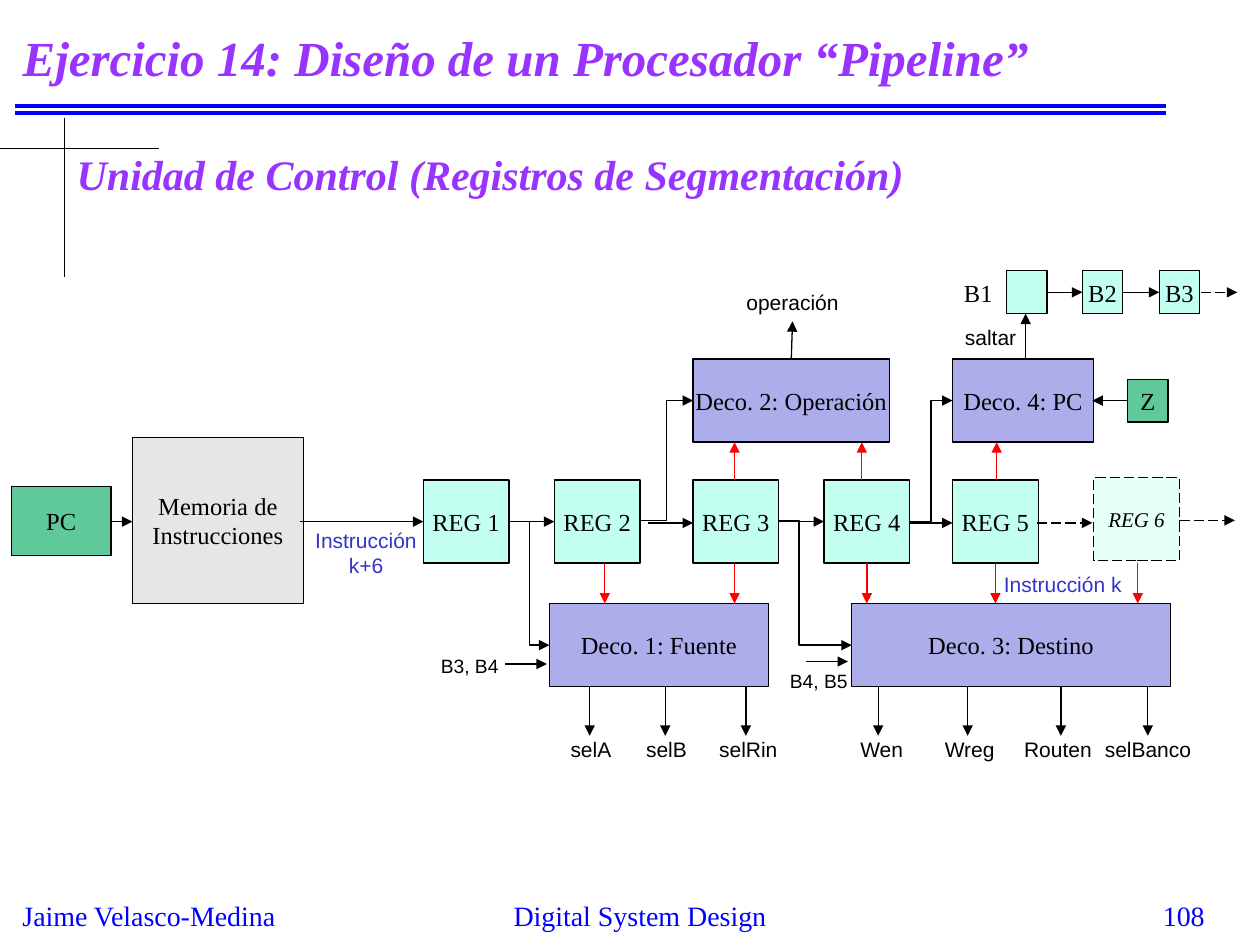
from lxml import etree
from pptx import Presentation
from pptx.dml.color import RGBColor
from pptx.enum.dml import MSO_LINE
from pptx.enum.shapes import MSO_CONNECTOR, MSO_SHAPE
from pptx.enum.text import MSO_ANCHOR, MSO_AUTO_SIZE, PP_ALIGN
from pptx.oxml.ns import qn
from pptx.util import Inches, Pt

LEFT, MID, RIGHT = PP_ALIGN.LEFT, PP_ALIGN.CENTER, PP_ALIGN.RIGHT
TOP, MIDDLE = MSO_ANCHOR.TOP, MSO_ANCHOR.MIDDLE
STRAIGHT, ELBOW = MSO_CONNECTOR.STRAIGHT, MSO_CONNECTOR.ELBOW
RECT = MSO_SHAPE.RECTANGLE
DASH = MSO_LINE.LONG_DASH
NO_FIT = MSO_AUTO_SIZE.NONE

HUES = {
    "black": "000000", "red": "FF0000", "blue": "0000FF", "violet": "9933FF",
    "indigo": "3333CC", "gray": "E6E6E6", "green": "60C99C",
    "mint": "C2FFF0", "pale": "E5FFF9", "lilac": "ADADEB",
}
SERIF, SANS = "Times New Roman", "Arial"
HEAD = {"name": SERIF, "size": Pt(28), "bold": True, "italic": True}
SUB = {**HEAD, "size": Pt(24)}
FOOT = {"name": SERIF, "size": Pt(16)}
BOX = {"name": SERIF, "size": Pt(14)}
GHOST = {"name": SERIF, "size": Pt(12), "italic": True}
LABEL = {"name": SANS, "size": Pt(12)}
NOTE = {"name": SANS, "size": Pt(11)}

REG_W, ROW_H, BIT_W, BIT_H = 0.68, 0.66, 0.32, 0.34
REG_Y, DECO_Y, OP_Y, BIT_Y = 3.81, 4.79, 2.85, 2.15
MID_Y, OUT_Y = 4.14, 5.45


def color(name):
    return RGBColor.from_string(HUES[name])


def write(shape, text, look, hue, align, anchor, wrap):
    frame = shape.text_frame
    frame.text = text
    frame.auto_size = NO_FIT
    frame.word_wrap = wrap
    frame.vertical_anchor = anchor
    for para in frame.paragraphs:
        para.alignment = align
        for key, value in look.items():
            setattr(para.font, key, value)
        para.font.color.rgb = color(hue)


def add_text(slide, spot, text, look=LABEL, hue="black", align=LEFT,
             anchor=TOP, wrap=False):
    shape = slide.shapes.add_textbox(*map(Inches, spot))
    write(shape, text, look, hue, align, anchor, wrap)


def add_box(slide, spot, text, fill, look=BOX, dash=None):
    shape = slide.shapes.add_shape(RECT, *map(Inches, spot))
    shape.shadow.inherit = False
    shape.fill.solid()
    shape.fill.fore_color.rgb = color(fill)
    shape.line.color.rgb = color("black")
    shape.line.width = Pt(0.75)
    shape.line.dash_style = dash
    write(shape, text, look, "black", MID, MIDDLE, False)


def add_line(slide, ends, hue="black", width=0.75, kind=STRAIGHT):
    wire = slide.shapes.add_connector(kind, *map(Inches, ends))
    wire.line.color.rgb = color(hue)
    wire.line.width = Pt(width)
    etree.SubElement(wire._element.spPr, qn("a:effectLst"))
    return wire


def add_arrow(slide, ends, hue="black", dash=None, kind=STRAIGHT, bend=None):
    """Draw a line with a head at its end; bend is the share of width before the turn."""
    wire = add_line(slide, ends, hue, kind=kind)
    wire.line.dash_style = dash
    ln = wire._element.spPr.find(qn("a:ln"))
    etree.SubElement(ln, qn("a:tailEnd"), type="triangle")
    if bend:
        guides = wire._element.spPr.prstGeom.get_or_add_avLst()
        etree.SubElement(guides, qn("a:gd"), name="adj1",
                         fmla=f"val {round(bend * 100000)}")


def add_frame(slide):
    """Draw the rules, headings and footer."""
    for y in (0.84, 0.9):
        add_line(slide, (0.12, y, 9.25, y), "blue", 2.25)
    for ends in ((0, 1.18, 1.26, 1.18), (0.51, 0.94, 0.51, 2.2)):
        add_line(slide, ends)
    title = slide.shapes.title
    title.left, title.top, title.width, title.height = map(
        Inches, (0.08, 0.08, 9.17, 0.75))
    write(title, "Ejercicio 14: Diseño de un Procesador “Pipeline”",
          HEAD, "violet", LEFT, MIDDLE, True)
    add_text(slide, (0.51, 1, 9.17, 0.75),
             "Unidad de Control (Registros de Segmentación)",
             SUB, "violet", anchor=MIDDLE, wrap=True)
    for x, w, text, align in (
            (0.08, 2.25, "Jaime Velasco-Medina", LEFT),
            (3.33, 3.5, "Digital System Design", MID),
            (7.58, 2.08, "108", RIGHT)):
        add_text(slide, (x, 7.08, w, 0.33), text, FOOT, "blue", align)


def add_blocks(slide):
    add_box(slide, (1.05, 3.47, 1.36, 1.32), "Memoria de\nInstrucciones", "gray")
    add_box(slide, (0.09, 3.86, 0.79, 0.55), "PC", "green")
    add_box(slide, (8.95, 3.01, BIT_W, BIT_H), "Z", "green")
    for num, x in enumerate((3.36, 4.4, 5.5, 6.54, 7.56), 1):
        add_box(slide, (x, REG_Y, REG_W, ROW_H), f"REG {num}", "mint")
    add_box(slide, (8.68, 3.79, REG_W, ROW_H), "REG 6", "pale", GHOST, DASH)
    for x, y, w, text in (
            (4.36, DECO_Y, 1.74, "Deco. 1: Fuente"),
            (5.5, OP_Y, 1.56, "Deco. 2: Operación"),
            (6.76, DECO_Y, 2.53, "Deco. 3: Destino"),
            (7.56, OP_Y, 1.12, "Deco. 4: PC")):
        add_box(slide, (x, y, w, ROW_H), text, "lilac")
    for x, text in ((7.99, ""), (8.59, "B2"), (9.2, "B3")):
        add_box(slide, (x, BIT_Y, BIT_W, BIT_H), text, "mint")


def add_wires(slide):
    for x, end, y in (
            (0.88, 1.05, MID_Y),
            (2.38, 3.36, MID_Y), (4.04, 4.4, MID_Y), (5.14, 5.5, 4.15),
            (6.18, 6.54, MID_Y), (7.22, 7.56, 4.15), (8.95, 8.67, 3.18),
            (8.31, 8.59, 2.32), (8.91, 9.2, 2.32),
            (4.01, 4.34, 5.27), (6.4, 6.73, 5.25)):
        add_arrow(slide, (x, y, end, y))
    for x, end, y in ((8.23, 8.67, 4.15), (9.36, 9.8, 4.13), (9.53, 9.82, 2.32)):
        add_arrow(slide, (x, y, end, y), dash=DASH)
    for ends, bend in (
            ((4.04, MID_Y, 4.36, 5.12), None), ((5.08, 4.13, 5.5, 3.18), None),
            ((6.18, 4.13, 6.76, 5.12), 0.28), ((7.22, MID_Y, 7.56, 3.18), None)):
        add_arrow(slide, ends, kind=ELBOW, bend=bend)
    for x in (5.83, 6.84, 7.91):
        add_arrow(slide, (x, REG_Y, x, OP_Y + ROW_H), "red")
    for x in (4.8, 5.83, 6.88, 7.9, 9.03):
        add_arrow(slide, (x, REG_Y + ROW_H, x, DECO_Y), "red")
    add_arrow(slide, (6.28, OP_Y, 6.29, 2.55))
    add_arrow(slide, (8.14, OP_Y, 8.14, BIT_Y + BIT_H))


def add_labels(slide):
    for tip, x, w, text in (
            (4.68, 4.43, 0.53, "selA"), (5.28, 5.03, 0.53, "selB"),
            (5.92, 5.61, 0.67, "selRin"), (6.97, 6.73, 0.54, "Wen"),
            (7.68, 7.4, 0.6, "Wreg"), (8.42, 8.03, 0.74, "Routen"),
            (9.11, 8.67, 0.89, "selBanco")):
        add_arrow(slide, (tip, OUT_Y, tip, OUT_Y + 0.39))
        add_text(slide, (x, 5.8, w, 0.3), text)
    add_text(slide, (7.55, BIT_Y, 0.43, BIT_H), "B1", BOX,
             align=MID, anchor=MIDDLE)
    add_text(slide, (5.82, 2.25, 0.94, 0.3), "operación", align=MID)
    add_text(slide, (7.56, 2.53, 0.61, 0.3), "saltar")
    add_text(slide, (2.4, 4.14, 1.01, 0.5), "Instrucción\nk+6",
             hue="indigo", align=MID)
    add_text(slide, (7.53, 4.49, 1.81, 0.3), "Instrucción k",
             hue="indigo", align=MID, wrap=True)
    add_text(slide, (3.4, 5.14, 0.66, 0.29), "B3, B4", NOTE)
    add_text(slide, (6.17, 5.26, 0.66, 0.29), "B4, B5", NOTE)


def main():
    deck = Presentation()
    deck.slide_width, deck.slide_height = Inches(10), Inches(7.5)
    slide = deck.slides.add_slide(deck.slide_layouts[5])
    add_frame(slide)
    add_blocks(slide)
    add_wires(slide)
    add_labels(slide)
    deck.save("out.pptx")


if __name__ == "__main__":
    main()
